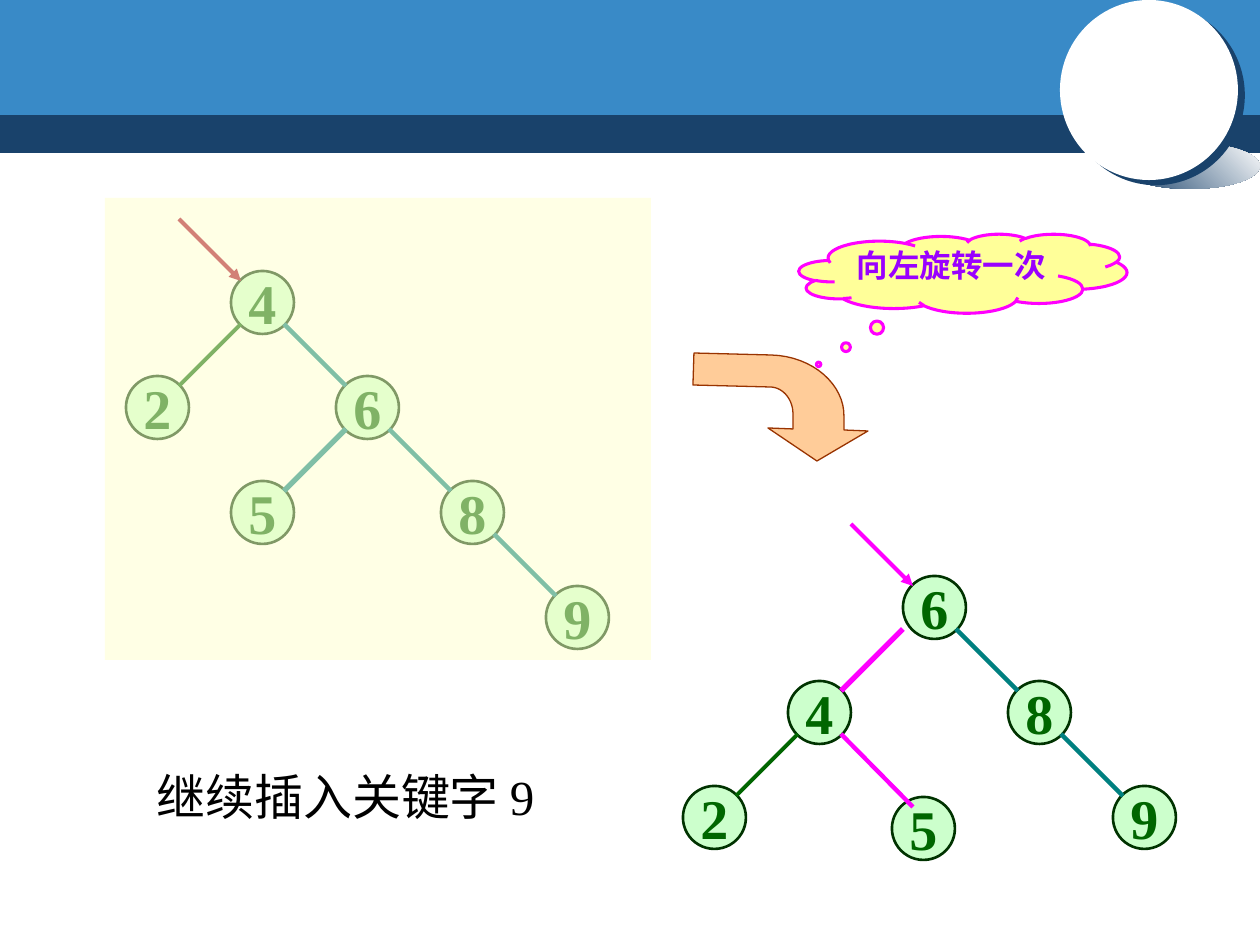
from lxml import etree
from pptx import Presentation
from pptx.dml.color import RGBColor
from pptx.enum.shapes import MSO_CONNECTOR, MSO_SHAPE
from pptx.enum.text import MSO_ANCHOR, PP_ALIGN
from pptx.oxml.ns import qn
from pptx.util import Emu, Pt

PX = 914400 // 126
RECT, OVAL, CLOUD = MSO_SHAPE.RECTANGLE, MSO_SHAPE.OVAL, MSO_SHAPE.CLOUD_CALLOUT
STRAIGHT = MSO_CONNECTOR.STRAIGHT
CENTER = PP_ALIGN.CENTER
TOP, MIDDLE = MSO_ANCHOR.TOP, MSO_ANCHOR.MIDDLE

NAVY, BLUE, WHITE = "19426B", "398AC7", "FFFFFF"
GREEN, TEAL, MAGENTA, RED = "006600", "008080", "FF00FF", "A50021"
NODE, STEP, INSET = 63, 105, 10  # node diameter, grid step, edge inset


def px(n):
    return Emu(round(n * PX))


def rgb(value):
    return RGBColor.from_string(value)


def paint(sp, fill, line=None, width=1):
    sp.shadow.inherit = False
    sp.fill.solid()
    sp.fill.fore_color.rgb = rgb(fill)
    if line:
        sp.line.color.rgb = rgb(line)
        sp.line.width = Pt(width)
    else:
        sp.line.fill.background()


def add_shape(slide, kind, x, y, w, h, fill, line=None, width=1):
    sp = slide.shapes.add_shape(kind, px(x), px(y), px(w), px(h))
    paint(sp, fill, line, width)
    return sp


def set_text(sp, text, size, font, color, bold=False, align=None):
    p = sp.text_frame.paragraphs[0]
    p.text = text
    p.alignment = align
    r = p.runs[0]
    r.font.size, r.font.name, r.font.bold = Pt(size), font, bold
    r.font.color.rgb = rgb(color)


def add_line(slide, x1, y1, x2, y2, color, width, arrow=False):
    c = slide.shapes.add_connector(STRAIGHT, px(x1), px(y1), px(x2), px(y2))
    c.line.color.rgb = rgb(color)
    c.line.width = Pt(width)
    if arrow:
        etree.SubElement(c.line._get_or_add_ln(), qn("a:tailEnd"), type="triangle")
    etree.SubElement(c._element.spPr, qn("a:effectLst"))


def header(slide, x, y, w):
    # Two bands
    add_shape(slide, RECT, x, y + 110, w, 43, NAVY)
    add_shape(slide, RECT, x, y, w, 115, BLUE)
    # Fading floor shadow
    floor = add_shape(slide, OVAL, x + w - 140, y + 143, 140, 46, NAVY)
    floor.fill.gradient()
    floor.fill.gradient_angle = 45
    for stop, color, pos in zip(floor.fill.gradient_stops, (NAVY, WHITE), (0, 1)):
        stop.color.rgb = rgb(color)
        stop.position = pos
    # White disc with a hard shadow
    disc = add_shape(slide, OVAL, x + w - 200, y, 178, 180, WHITE)
    effects = disc._element.spPr.find(qn("a:effectLst"))
    shadow = etree.SubElement(effects, qn("a:outerShdw"), dist=str(Pt(5)),
                              dir=str(37 * 60000), algn="ctr", rotWithShape="0")
    etree.SubElement(shadow, qn("a:srgbClr"), val=NAVY)
    add_shape(slide, OVAL, x + w - 141, y + 63, 63, 62, WHITE)


def tree(slide, x, y, nodes, edges, arrow_color):
    """Nodes map a key to an offset from the root, which sits at x, y."""
    for key, (dx, dy) in nodes.items():
        sp = add_shape(slide, OVAL, x + dx, y + dy, NODE, NODE, "CCFFCC", "003300", 1.5)
        sp.text_frame.word_wrap = False
        sp.text_frame.vertical_anchor = MIDDLE
        set_text(sp, key, 32, "Times New Roman", GREEN, True, CENTER)
    far = NODE - INSET
    for parent, child, color, width, shift1, shift2 in edges:
        (px1, py1), (px2, py2) = nodes[parent], nodes[child]
        start, end = (far, INSET) if px2 > px1 else (INSET, far)
        add_line(slide, x + px1 + start + shift1, y + py1 + far,
                 x + px2 + end + shift2, y + py2 + INSET, color, width)
    # Pointer to the root
    add_line(slide, x - 52, y - 52, x + INSET, y + INSET, arrow_color, 2.25, True)


def cover(slide, x, y, w, h):
    sp = add_shape(slide, RECT, x, y, w, h, "FFFFCC")
    color = sp._element.spPr.find(qn("a:solidFill"))[0]
    etree.SubElement(color, qn("a:alpha"), val="50000")


def bezier(p0, p1, p2, p3, steps=16):
    for i in range(1, steps + 1):
        t = i / steps
        u = 1 - t
        yield tuple(u**3 * a + 3 * u * u * t * b + 3 * u * t * t * c + t**3 * d
                    for a, b, c, d in zip(p0, p1, p2, p3))


def bent_arrow(slide, x, y):
    outer = bezier((151, 64), (152, 32), (120, 3), (78, 2))
    inner = bezier((77, 34), (90, 34), (101, 47), (100, 63))
    points = [(124, 108), (175, 78), (151, 77), (151, 64), *outer, (1, 0), (0, 32),
              (77, 34), *inner, (100, 76), (75, 75)]
    points = [(round((x + dx) * PX), round((y + dy) * PX)) for dx, dy in points]
    fb = slide.shapes.build_freeform(*points[0])
    fb.add_line_segments(points[1:], close=True)
    paint(fb.convert_to_shape(), "FFCC99", "993300", 0.75)


def callout(slide, x, y, w, h):
    sp = add_shape(slide, CLOUD, x, y, w, h, "FFFF99", MAGENTA, 1.75)
    sp.adjustments[0], sp.adjustments[1] = -0.44, 1.15
    tf = sp.text_frame
    tf.margin_left = tf.margin_right = tf.margin_top = tf.margin_bottom = 0
    tf.word_wrap = True
    tf.vertical_anchor = TOP
    set_text(sp, "向左旋转一次", 18, "Arial", "9900FF", True, CENTER)


def caption(slide, x, y, w, h):
    sp = slide.shapes.add_textbox(px(x), px(y), px(w), px(h))
    sp.text_frame.word_wrap = True
    set_text(sp, "继续插入关键字 9", 28, "Times New Roman", "000000")


def main():
    prs = Presentation()
    prs.slide_width, prs.slide_height = px(1260), px(945)
    slide = prs.slides.add_slide(prs.slide_layouts[6])
    header(slide, 0, 0, 1260)

    # Tree before the rotation, dimmed
    before = {"4": (0, 0), "2": (-STEP, STEP), "6": (STEP, STEP), "5": (0, 2 * STEP),
              "8": (2 * STEP, 2 * STEP), "9": (3 * STEP, 3 * STEP)}
    tree(slide, 231, 271, before,
         [("4", "2", GREEN, 2.25, 0, 0), ("4", "6", TEAL, 2.5, 0, 0),
          ("6", "5", TEAL, 3, 0, 0), ("6", "8", TEAL, 2.5, 0, 0),
          ("8", "9", TEAL, 2.5, 0, 0)], RED)
    cover(slide, 105, 198, 546, 462)

    # Tree after the rotation
    after = {"6": (0, 0), "4": (-115, STEP), "2": (-220, 2 * STEP), "8": (STEP, STEP),
             "9": (2 * STEP, 2 * STEP), "5": (-11, 221)}
    tree(slide, 903, 576, after,
         [("4", "2", GREEN, 2.25, 0, 0), ("6", "4", MAGENTA, 3, -10, 0),
          ("6", "8", TEAL, 2.5, 0, 0), ("8", "9", TEAL, 2.5, 0, 0),
          ("4", "5", MAGENTA, 2.5, 0, 11)], MAGENTA)

    # Rotation step and caption
    bent_arrow(slide, 693, 353)
    caption(slide, 144, 760, 475, 72)
    callout(slide, 799, 234, 328, 79)
    prs.save("out.pptx")


if __name__ == "__main__":
    main()
